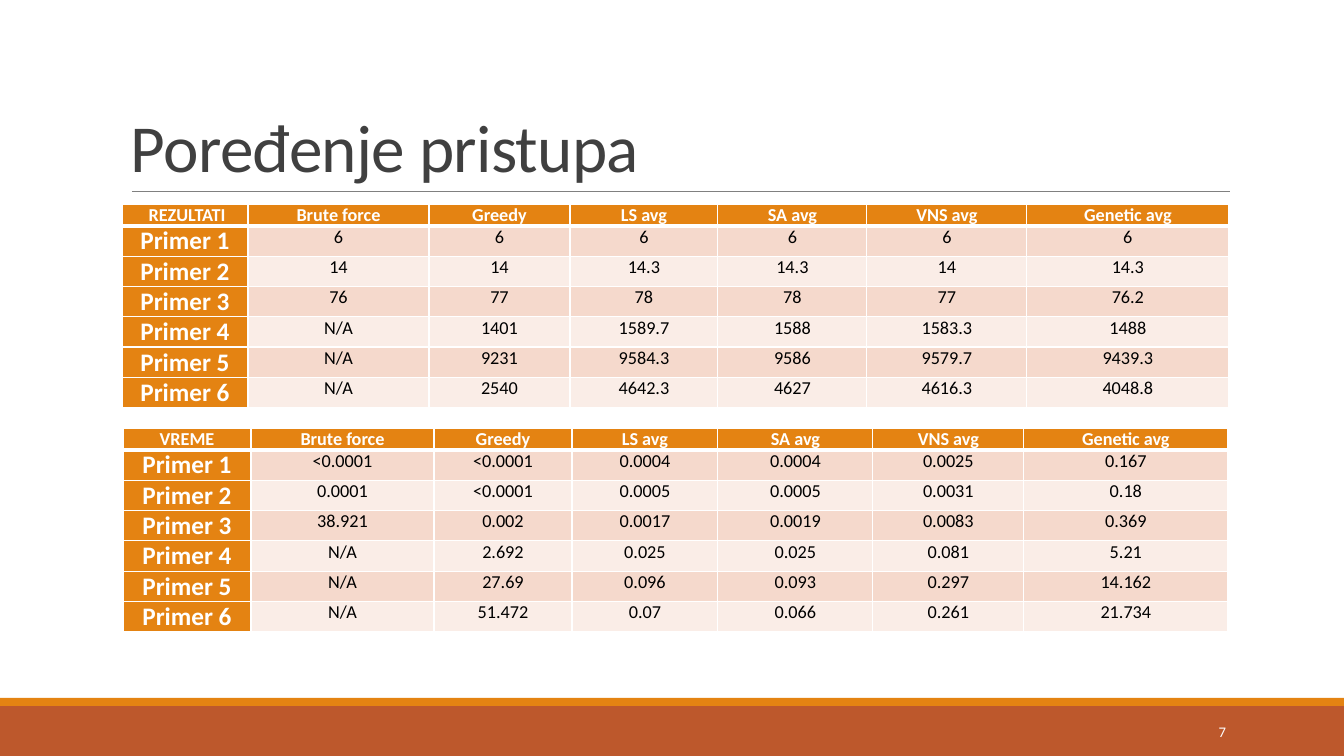
import pptx
import pptx.util
import pptx.dml.color
import pptx.enum.shapes
import pptx.enum.text
import pptx.oxml
import lxml.etree
import pptx.oxml.ns

TITLE = "Poređenje pristupa"
PAGE = "7"
METHODS = ["Brute force", "Greedy", "LS avg", "SA avg", "VNS avg", "Genetic avg"]
TABLES = [
    {
        "corner": "\u00a0REZULTATI", "left": 122, "top": 204,
        "cols": [126, 181, 141, 148, 149, 160, 202],
        "rows": [
            ["6", "6", "6", "6", "6", "6"],
            ["14", "14", "14.3", "14.3", "14", "14.3"],
            ["76", "77", "78", "78", "77", "76.2"],
            ["N/A", "1401", "1589.7", "1588", "1583.3", "1488"],
            ["N/A", "9231", "9584.3", "9586", "9579.7", "9439.3"],
            ["N/A", "2540", "4642.3", "4627", "4616.3", "4048.8"],
        ],
    },
    {
        "corner": "VREME", "left": 123, "top": 428,
        "cols": [128, 183, 138, 146, 155, 151, 204],
        "rows": [
            ["<0.0001", "<0.0001", "0.0004", "0.0004", "0.0025", "0.167"],
            ["0.0001", "<0.0001", "0.0005", "0.0005", "0.0031", "0.18"],
            ["38.921", "0.002", "0.0017", "0.0019", "0.0083", "0.369"],
            ["N/A", "2.692", "0.025", "0.025", "0.081", "5.21"],
            ["N/A", "27.69", "0.096", "0.093", "0.297", "14.162"],
            ["N/A", "51.472", "0.07", "0.066", "0.261", "21.734"],
        ],
    },
]
COLORS = {
    "white": "FFFFFF", "black": "000000", "title": "404040", "rule": "808080",
    "orange": "E48312", "rust": "BD582C", "band_dark": "F5D9CC", "band_light": "FAEDE7",
}
HEADER_H, ROW_H, CELL_PAD = 22, 30, 7

ALIGN = pptx.enum.text.PP_ALIGN
ANCHOR = pptx.enum.text.MSO_ANCHOR


def px(n):
    return pptx.util.Emu(round(n * 914400 / 100.8))


def rgb(name):
    return pptx.dml.color.RGBColor.from_string(COLORS[name])


def write(tf, text, size, color, bold=False, align=ALIGN.LEFT, line=None, spacing=None):
    p = tf.paragraphs[0]
    p.alignment = align
    if line:
        p.line_spacing = line
    r = p.add_run()
    r.text = text
    r.font.name = "Calibri"
    r.font.size = pptx.util.Pt(size)
    r.font.bold = bold
    r.font.color.rgb = rgb(color)
    if spacing:
        r.font._element.set("spc", str(round(spacing * 100)))


def add_text(box, text, anchor, **fmt):
    tf = s.shapes.add_textbox(*map(px, box)).text_frame
    tf.word_wrap = True
    tf.vertical_anchor = anchor
    write(tf, text, **fmt)


def add_bar(top, height, color):
    sp = s.shapes.add_shape(pptx.enum.shapes.MSO_SHAPE.RECTANGLE, 0, px(top), px(1344), px(height))
    sp.shadow.inherit = False
    sp.fill.solid()
    sp.fill.fore_color.rgb = rgb(color)
    sp.line.fill.background()


def set_borders(cell, row):
    widths = {"L": 1, "R": 1, "T": 3 if row == 1 else 1, "B": 3 if row == 0 else 1}
    tcPr = cell._tc.get_or_add_tcPr()
    for side, width in widths.items():
        ln = lxml.etree.SubElement(tcPr, pptx.oxml.ns.qn(f"a:ln{side}"), w=str(pptx.util.Pt(width)))
        fill = lxml.etree.SubElement(ln, pptx.oxml.ns.qn("a:solidFill"))
        lxml.etree.SubElement(fill, pptx.oxml.ns.qn("a:srgbClr"), val=COLORS["white"])


def add_results(data):
    rows = [[data["corner"]] + METHODS]
    rows += [[f"Primer {i}"] + values for i, values in enumerate(data["rows"], 1)]
    heights = [HEADER_H] + [ROW_H] * len(data["rows"])
    box = (data["left"], data["top"], sum(data["cols"]), sum(heights))
    table = s.shapes.add_table(len(rows), len(data["cols"]), *map(px, box)).table
    table.horz_banding = False
    for column, width in zip(table.columns, data["cols"]):
        column.width = px(width)
    for row, height in zip(table.rows, heights):
        row.height = px(height)
    for i, values in enumerate(rows):
        for j, text in enumerate(values):
            cell = table.cell(i, j)
            heading = i == 0 or j == 0
            cell.margin_left = cell.margin_right = px(CELL_PAD)
            cell.margin_top = cell.margin_bottom = 0
            set_borders(cell, i)
            cell.fill.solid()
            band = "band_dark" if i % 2 else "band_light"
            cell.fill.fore_color.rgb = rgb("orange" if heading else band)
            write(cell.text_frame, text, size=18 if i and j == 0 else 13,
                  color="white" if heading else "black", bold=heading, align=ALIGN.CENTER)


prs = pptx.Presentation()
prs.slide_width, prs.slide_height = px(1344), px(756)
s = prs.slides.add_slide(prs.slide_layouts[6])

add_bar(706, 50, "rust")
add_bar(698, 8, "orange")

rule = s.shapes.add_connector(pptx.enum.shapes.MSO_CONNECTOR.STRAIGHT, px(132), px(191), px(1230), px(191))
rule.line.color.rgb = rgb("rule")
rule.line.width = pptx.util.Pt(0.5)
lxml.etree.SubElement(rule._element.spPr, pptx.oxml.ns.qn("a:effectLst"))

add_text((121, 31, 1109, 160), TITLE, ANCHOR.BOTTOM, size=48, color="title", line=0.85, spacing=-0.5)
for data in TABLES:
    add_results(data)
add_text((1092, 712, 144, 40), PAGE, ANCHOR.MIDDLE, size=10.5, color="white", align=ALIGN.RIGHT)

prs.save("out.pptx")
